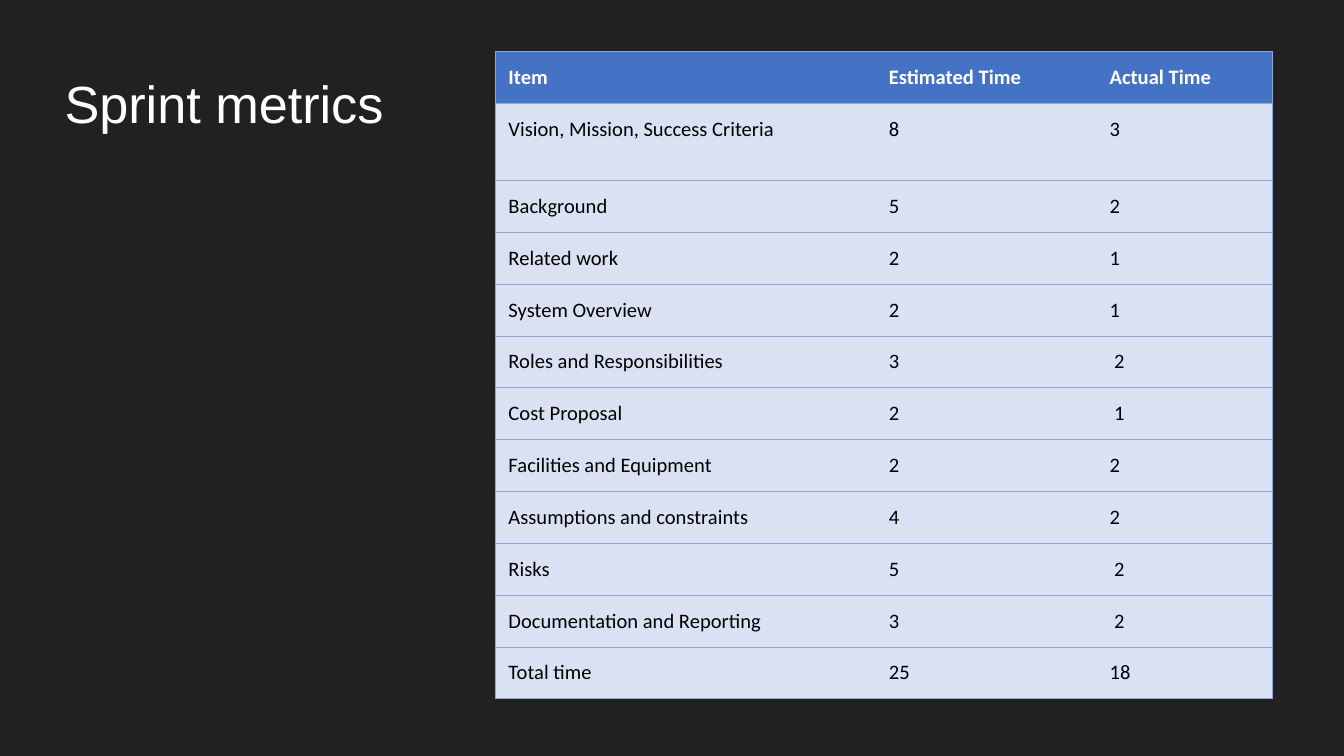
from dataclasses import dataclass
from typing import Any

from lxml import etree
from pptx import Presentation, util as u
from pptx.dml.color import RGBColor
from pptx.enum import text
from pptx.oxml import ns


@dataclass(frozen=True)
class Theme:
    """Colours, fonts and sizes of the slide."""
    background: str = "212121"
    light: str = "FFFFFF"
    dark: str = "000000"
    header_fill: str = "4472C4"
    body_fill: str = "D9E1F2"
    border: str = "8EA9DB"
    title_font: str = "Arial"
    table_font: str = "Calibri"
    title_size: u.Pt = u.Pt(28)
    table_size: u.Pt = u.Pt(11)
    border_width: u.Pt = u.Pt(0.5)


@dataclass(frozen=True)
class Metric:
    """One row of the sprint table."""
    item: str
    estimated: str
    actual: str
    height: u.Cm = u.Cm(0.98)

    @property
    def values(self) -> tuple[str, str, str]:
        """Return the cell texts from left to right."""
        return self.item, self.estimated, self.actual


THEME = Theme()
INSET = u.Cm(0.25)
COLUMN_WIDTHS = [u.Cm(7.19), u.Cm(4.17), u.Cm(3.33)]
METRICS = [
    Metric("Item", "Estimated Time", "Actual Time"),
    Metric("Vision, Mission, Success Criteria", "8", "3", u.Cm(1.46)),
    Metric("Background", "5", "2"),
    Metric("Related work", "2", "1"),
    Metric("System Overview", "2", "1"),
    Metric("Roles and Responsibilities", "3", " 2"),
    Metric("Cost Proposal", "2", " 1"),
    Metric("Facilities and Equipment", "2", "2"),
    Metric("Assumptions and constraints", "4", "2"),
    Metric("Risks", "5", " 2"),
    Metric("Documentation and Reporting", "3", " 2"),
    Metric("Total time", "25", "18"),
]
TITLE_FORMAT = {"name": THEME.title_font, "size": THEME.title_size, "bold": False}
HEADER_FORMAT = {"name": THEME.table_font, "size": THEME.table_size, "bold": True}
BODY_FORMAT = HEADER_FORMAT | {"bold": False}
FRAME_FORMAT = {
    "word_wrap": True, "auto_size": text.MSO_AUTO_SIZE.NONE,
    "vertical_anchor": text.MSO_ANCHOR.TOP,
    "margin_left": INSET, "margin_right": INSET,
    "margin_top": u.Cm(0.38), "margin_bottom": u.Cm(0),
}
CELL_FORMAT = {f"margin_{side}": INSET for side in ("left", "right", "top", "bottom")}
TABLE_FORMAT = {"first_row": True, "horz_banding": False}


def apply_format(target: Any, values: dict[str, Any]) -> None:
    """Set every attribute in values on the target."""
    for name, value in values.items():
        setattr(target, name, value)


def write_text(paragraph: Any, words: str, font_format: dict[str, Any], color: str) -> None:
    """Add one formatted run to a paragraph."""
    run = paragraph.add_run()
    run.text = words
    apply_format(run.font, font_format)
    run.font.color.rgb = RGBColor.from_string(color)


def add_border(cell: Any, side: str, visible: bool) -> None:
    """Draw or hide one side (L, R, T or B) of a cell."""
    properties = cell._tc.get_or_add_tcPr()
    line = etree.SubElement(properties, ns.qn(f"a:ln{side}"), w=str(int(THEME.border_width)))
    if visible:
        fill = etree.SubElement(line, ns.qn("a:solidFill"))
        etree.SubElement(fill, ns.qn("a:srgbClr"), val=THEME.border)
    else:
        etree.SubElement(line, ns.qn("a:noFill"))


def add_title(slide: Any) -> None:
    """Write the slide title."""
    shape = slide.shapes.add_textbox(u.Cm(0.97), u.Cm(0.97), u.Cm(6.6), u.Cm(1.6))
    apply_format(shape.text_frame, FRAME_FORMAT)
    write_text(shape.text_frame.paragraphs[0], "Sprint metrics", TITLE_FORMAT, THEME.light)


def fill_cell(cell: Any, words: str, is_header: bool, column: int) -> None:
    """Format one table cell and write its text."""
    apply_format(cell, CELL_FORMAT)
    edges = {"L": column == 0, "R": column == len(COLUMN_WIDTHS) - 1, "T": True, "B": True}
    for side, visible in edges.items():
        add_border(cell, side, visible)
    cell.fill.solid()
    fill_color = THEME.header_fill if is_header else THEME.body_fill
    cell.fill.fore_color.rgb = RGBColor.from_string(fill_color)
    font_format = HEADER_FORMAT if is_header else BODY_FORMAT
    color = THEME.light if is_header else THEME.dark
    write_text(cell.text_frame.paragraphs[0], words, font_format, color)


def add_metrics_table(slide: Any) -> None:
    """Build the table of estimated and actual times."""
    shape = slide.shapes.add_table(
        len(METRICS), len(COLUMN_WIDTHS), u.Cm(9.36), u.Cm(0.97),
        sum(COLUMN_WIDTHS), sum(metric.height for metric in METRICS))
    table = shape.table
    apply_format(table, TABLE_FORMAT)
    for column, width in zip(table.columns, COLUMN_WIDTHS):
        column.width = width
    for row_index, metric in enumerate(METRICS):
        table.rows[row_index].height = metric.height
        for column_index, words in enumerate(metric.values):
            fill_cell(table.cell(row_index, column_index), words, row_index == 0, column_index)


def main() -> None:
    """Build and save the presentation."""
    presentation = Presentation()
    apply_format(presentation, {"slide_width": u.Cm(25.4), "slide_height": u.Cm(14.29)})
    slide = presentation.slides.add_slide(presentation.slide_layouts[6])
    slide.background.fill.solid()
    slide.background.fill.fore_color.rgb = RGBColor.from_string(THEME.background)
    add_title(slide)
    add_metrics_table(slide)
    presentation.save("out.pptx")


main()
